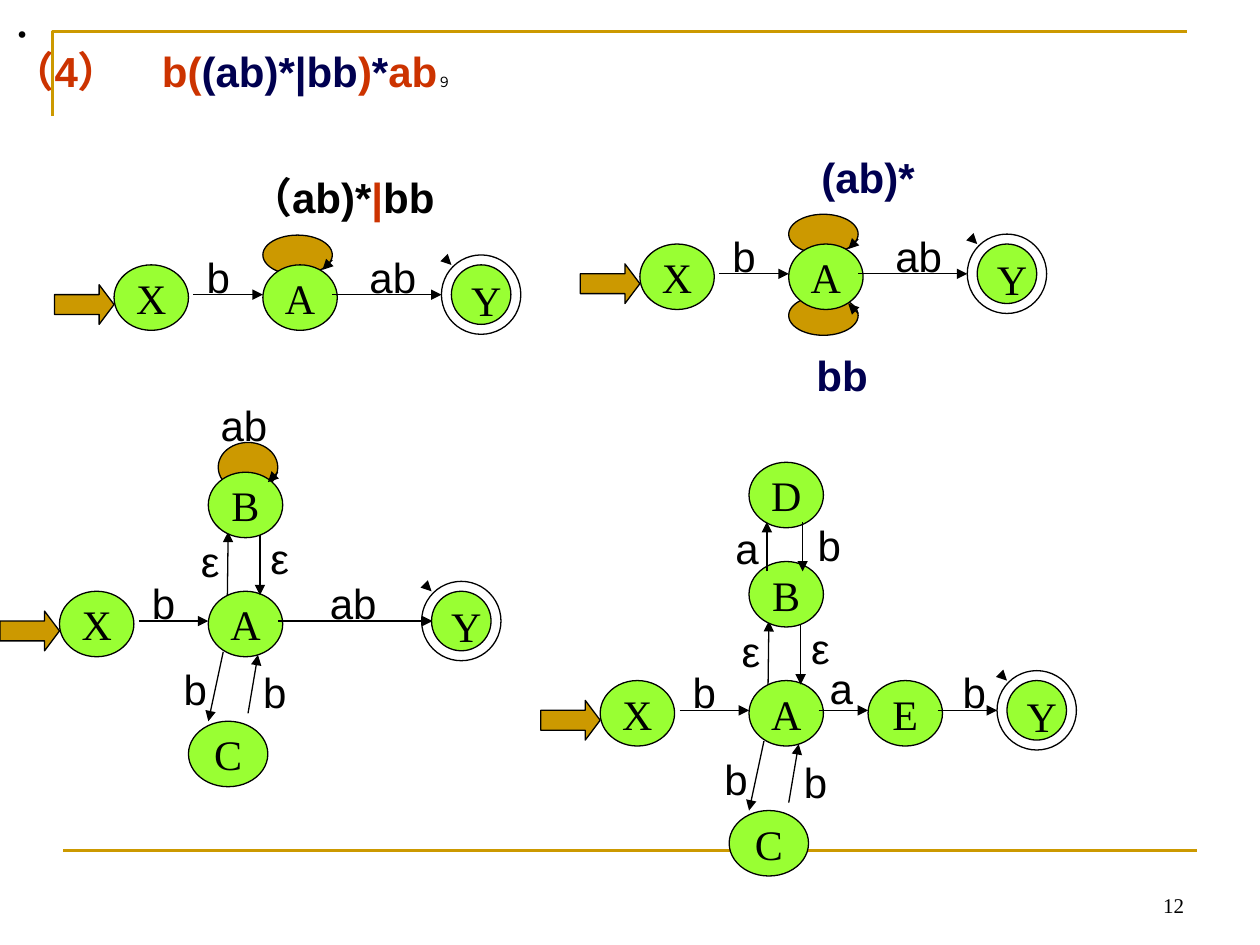
from lxml.etree import SubElement
from pptx import Presentation
from pptx.dml.color import RGBColor
from pptx.enum.shapes import MSO_CONNECTOR as Connector, MSO_SHAPE as Shape
from pptx.enum.text import MSO_ANCHOR as Anchor, MSO_AUTO_SIZE as AutoSize, PP_ALIGN as Align
from pptx.oxml.ns import qn
from pptx.util import Inches, Mm, Pt

CELL = Mm(2)
BLACK, WHITE, GOLD, GREEN = "000000", "FFFFFF", "CC9900", "99FF33"
RED, NAVY = "CC3300", "000050"
SERIF, SANS = "Times New Roman", "Arial"
STATE_WIDTH, STATE_HEIGHT, STATE_PITCH = 7.5, 6.6, 15
LABEL_WIDTHS = {"a": 5, "b": 5, "ab": 7.2, "ε": 4.4}


def cells(*counts):
    return [round(count * CELL) for count in counts]


def color(value):
    return RGBColor.from_string(value)


def style_run(run, font=SANS, size=24, ink=BLACK, bold=False):
    run.font.name = font
    run.font.size = Pt(size)
    run.font.color.rgb = color(ink)
    run.font.bold = bold


def add_runs(paragraph, pieces, **style):
    for text, ink in pieces:
        run = paragraph.add_run()
        run.text = text
        style_run(run, ink=ink, **style)


def set_line(line, ink=BLACK, width=0.75):
    line.color.rgb = color(ink)
    line.width = Pt(width)


def add_line(shapes, start, end, ink=BLACK, width=0.75):
    connector = shapes.add_connector(Connector.STRAIGHT, *cells(*start, *end))
    set_line(connector.line, ink, width)
    SubElement(connector._element.spPr, qn("a:effectLst"))
    return connector


def add_text_box(shapes, box, align=Align.CENTER):
    frame = shapes.add_textbox(*cells(*box)).text_frame
    frame.word_wrap = True
    paragraph = frame.paragraphs[0]
    paragraph.alignment = align
    return frame, paragraph


class Automaton:
    def __init__(self, slide, column, row):
        self.shapes = slide.shapes.add_group_shape().shapes
        self.column, self.row = column, row

    def place(self, column, row):
        return self.column + column, self.row + row

    def outline(self, kind, column, row, width, height, fill):
        shape = self.shapes.add_shape(kind, *cells(*self.place(column, row), width, height))
        shape.shadow.inherit = False
        shape.fill.solid()
        shape.fill.fore_color.rgb = color(fill)
        set_line(shape.line)
        return shape

    def state(self, name, column, row=0, width=STATE_WIDTH, height=STATE_HEIGHT, shift=0):
        shape = self.outline(Shape.OVAL, column, row, width, height, GREEN)
        frame = shape.text_frame
        frame.text = name
        frame.word_wrap = False
        frame.vertical_anchor = Anchor.MIDDLE
        frame.margin_left = frame.margin_top = Inches(shift)
        frame.margin_right = frame.margin_bottom = 0
        frame.paragraphs[0].alignment = Align.CENTER
        style_run(frame.paragraphs[0].runs[0], SERIF)

    def final_state(self, column):
        self.outline(Shape.OVAL, column, -1, 8, 8, WHITE)
        self.state("Y", column + 1, 0, 6, 6, shift=0.08)
        self.arrow((column + 0.9, -0.1), (column + 1, 0))

    def loop(self, column, row, width=7, height=4):
        self.outline(Shape.OVAL, column, row, width, height, GOLD)

    def arrow(self, start, end):
        connector = add_line(self.shapes, self.place(*start), self.place(*end))
        line = connector.line._get_or_add_ln()
        SubElement(line, qn("a:tailEnd"), type="triangle")

    def label(self, text, column, row):
        box = (*self.place(column, row), LABEL_WIDTHS[text], 6.35)
        frame, paragraph = add_text_box(self.shapes, box)
        frame.margin_left = frame.margin_right = 0
        paragraph.text = text
        style_run(paragraph.runs[0])

    def expression(self, pieces, column, row, width):
        box = (*self.place(column, row), width, 6.35)
        frame, paragraph = add_text_box(self.shapes, box)
        frame.margin_left = frame.margin_right = 0
        add_runs(paragraph, pieces, bold=True)

    def start(self):
        entry = self.outline(Shape.RIGHT_ARROW, -6, 2, 6, 4, GOLD)
        entry.adjustments[1] = 0.376
        self.state("X", 0)
        self.state("A", STATE_PITCH)
        self.arrow((8, 3), (STATE_PITCH, 3))
        self.label("b", 8, -2)


def add_looped(slide, column, row, pieces, loop_rows):
    automaton = Automaton(slide, column, row)
    for loop_row in loop_rows:
        automaton.loop(STATE_PITCH, loop_row)
    automaton.start()
    automaton.final_state(33)
    automaton.arrow((22, 3), (33, 3))
    automaton.label("ab", 24.5, -2)
    automaton.arrow((22, -0.5), (21, 0.5))
    automaton.expression(pieces, 2, -10, 42)
    return automaton


def add_branched(slide, column, row, final_column, self_loop=False):
    automaton = Automaton(slide, column, row)
    if self_loop:
        automaton.loop(16, -15, 6, 5)
    automaton.arrow((16.9, 1.8), (17, -6))
    automaton.start()
    automaton.final_state(final_column)
    automaton.state("B", STATE_PITCH, -12)
    automaton.state("C", 13, 13.1, 8)
    for start, end in (((16.5, 6.1), (15, 13.1)), ((19, 12.3), (20, 6.4)), ((20.2, -5.7), (20.2, 0.4))):
        automaton.arrow(start, end)
    for text, left, top in (("ε", 13, -6.2), ("ε", 20, -6.5), ("b", 11.2, 6.7), ("b", 19.2, 7)):
        automaton.label(text, left, top)
    return automaton


def add_looped_automata(slide):
    add_looped(slide, 11.5, 26.7, [("（ab)*", BLACK), ("|", RED), ("bb", BLACK)], [-3])
    split = add_looped(slide, 64.5, 24.6, [("(ab)*", NAVY)], [-3, 5.2])
    split.arrow((22, 7), (21, 6))
    split.expression([("bb", NAVY)], 16.5, 10, 7.75)


def add_branched_automata(slide):
    looped = add_branched(slide, 6, 59.6, 36.5, self_loop=True)
    looped.arrow((22, 3), (37.6, 3))
    looped.label("ab", 26, -2)
    looped.arrow((22, -12), (21, -11))
    looped.label("ab", 15, -20)

    expanded = add_branched(slide, 60.5, 68.6, 40)
    expanded.state("D", STATE_PITCH, -22)
    expanded.state("E", 27)
    for start, end in (((16.8, -11), (16.8, -16)), ((20.4, -16), (20.4, -11)), ((22, 3), (27, 3)), ((34, 3), (40, 3))):
        expanded.arrow(start, end)
    for text, left, top in (("a", 12.3, -16.6), ("b", 20.6, -16.9), ("a", 21.8, -2.4), ("b", 35.2, -2)):
        expanded.label(text, left, top)


def add_frame(slide):
    bottom, corner, end = (cells(*point) for point in ((5.3, 11.7), (5.3, 3.2), (119.6, 3.2)))
    builder = slide.shapes.build_freeform(*bottom)
    builder.add_line_segments([corner, end], close=False)
    border = builder.convert_to_shape()
    border.shadow.inherit = False
    border.fill.background()
    set_line(border.line, GOLD, 1.5)
    add_line(slide.shapes, (6.35, 85.7), (120.65, 85.7), GOLD, 1.5)
    frame, paragraph = add_text_box(slide.shapes, (91, 86.8, 29.6, 6.35), Align.RIGHT)
    frame.vertical_anchor = Anchor.BOTTOM
    paragraph.text = "12"
    style_run(paragraph.runs[0], SERIF, 12)


def format_title(slide):
    title = slide.shapes.title
    title.left, title.top, title.width, title.height = cells(0, 0, 120.65, 9)
    frame = title.text_frame
    frame.auto_size = AutoSize.NONE
    frame.word_wrap = True
    frame.vertical_anchor = Anchor.TOP
    first, second = frame.paragraphs[0], frame.add_paragraph()
    for paragraph, space in ((first, 0), (second, 4.8)):
        paragraph.alignment = Align.LEFT
        paragraph.line_spacing = 0.8
        paragraph.space_before = Pt(space)
        properties = paragraph._p.get_or_add_pPr()
        properties.set("marL", str(Inches(0.38)))
        properties.set("indent", str(-Inches(0.38)))
    add_runs(first, [("．", BLACK)])
    pieces = [("（4）　b(", RED), ("(ab)*|bb", NAVY), (")", RED), ("*", NAVY), ("ab", RED)]
    add_runs(second, pieces, bold=True)
    add_runs(second, [("９", BLACK)], size=8)


def main():
    presentation = Presentation()
    presentation.slide_width, presentation.slide_height = Inches(10), Inches(7.5)
    slide = presentation.slides.add_slide(presentation.slide_layouts[5])
    add_frame(slide)
    format_title(slide)
    add_looped_automata(slide)
    add_branched_automata(slide)
    presentation.save("out.pptx")


if __name__ == "__main__":
    main()
